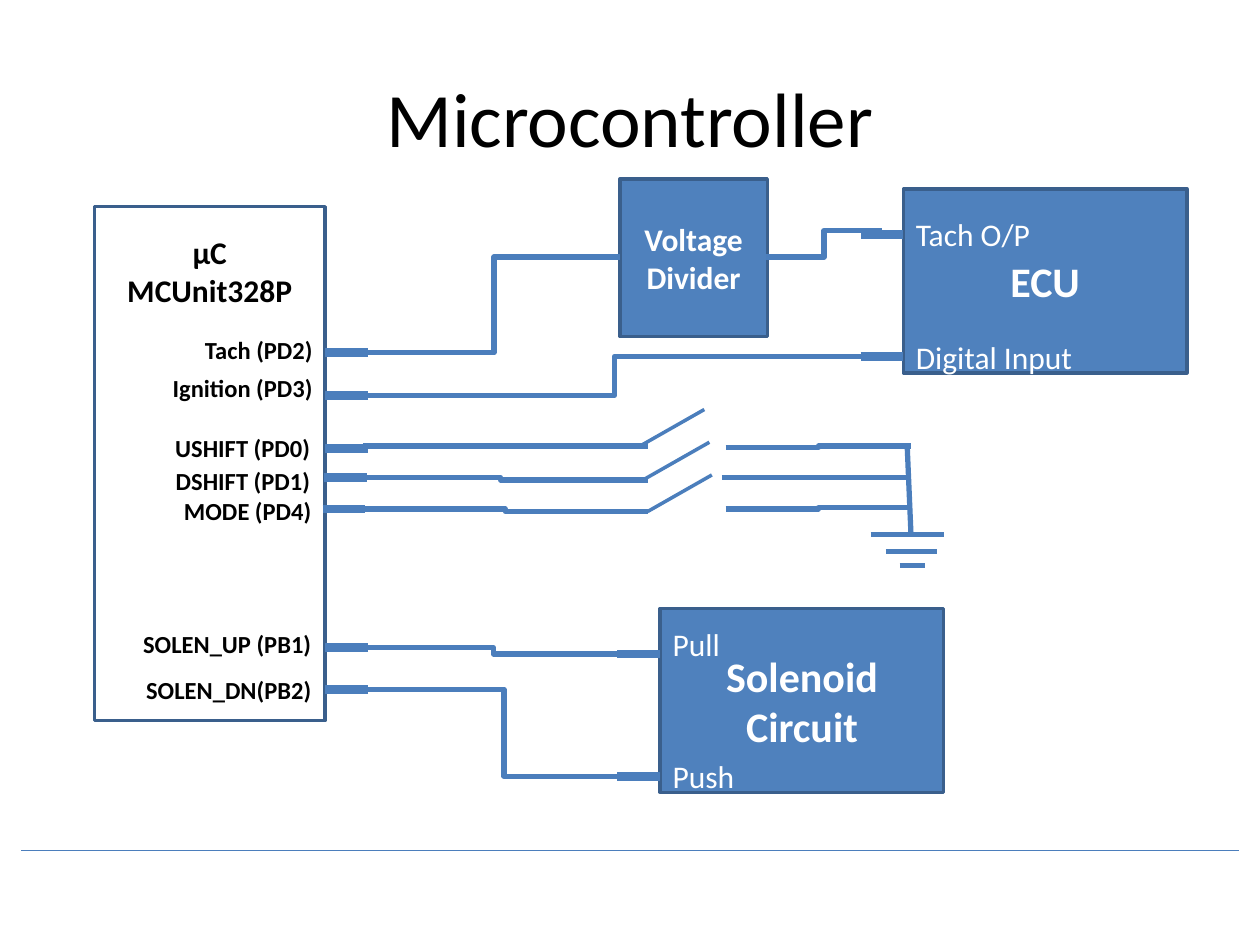
from lxml import etree
from pptx import Presentation, util as u
from pptx.dml.color import RGBColor
from pptx.enum import shapes, text
from pptx.oxml.ns import qn

LEFT, CENTER, RIGHT = text.PP_ALIGN.LEFT, text.PP_ALIGN.CENTER, text.PP_ALIGN.RIGHT
TOP, MIDDLE = text.MSO_ANCHOR.TOP, text.MSO_ANCHOR.MIDDLE
STRAIGHT, ELBOW = shapes.MSO_CONNECTOR.STRAIGHT, shapes.MSO_CONNECTOR.ELBOW


def rgb(value):
    return RGBColor.from_string(value)


class Diagram:
    font = "Calibri"
    black, white = "000000", "FFFFFF"
    blue, border, wire_color = "4F81BD", "3A5F8C", "4B7EBC"

    def __init__(self, slide):
        self.s = slide

    def set_text(self, sp, lines, size, color, bold, align, anchor):
        tf = sp.text_frame
        tf.word_wrap = True
        tf.vertical_anchor = anchor
        for i, line in enumerate(lines):
            p = tf.paragraphs[0] if i == 0 else tf.add_paragraph()
            p.text = line
            p.alignment = align
            p.font.name = self.font
            p.font.size = u.Pt(size)
            p.font.bold = bold
            p.font.color.rgb = rgb(color)

    def block(self, box, fill, lines=(), size=24):
        sp = self.s.shapes.add_shape(shapes.MSO_SHAPE.RECTANGLE, *map(u.Inches, box))
        sp.shadow.inherit = False
        sp.fill.solid()
        sp.fill.fore_color.rgb = rgb(fill)
        sp.line.color.rgb = rgb(self.border)
        sp.line.width = u.Pt(2)
        self.set_text(sp, lines, size, self.white, True, CENTER, MIDDLE)

    def label(self, box, lines, size, color, bold=False, align=LEFT, anchor=TOP):
        sp = self.s.shapes.add_textbox(*map(u.Inches, box))
        self.set_text(sp, lines, size, color, bold, align, anchor)

    def wire(self, x1, y1, x2, y2, width=3, kind=STRAIGHT):
        c = self.s.shapes.add_connector(kind, *map(u.Inches, (x1, y1, x2, y2)))
        c.line.color.rgb = rgb(self.wire_color)
        c.line.width = u.Pt(width)
        etree.SubElement(c._element.spPr, qn("a:effectLst"))

    def pin(self, x, y):
        self.wire(x, y, x + 0.34, y, width=5)


def main():
    prs = Presentation()
    prs.slide_width, prs.slide_height = u.Inches(10), u.Inches(7.5)
    d = Diagram(prs.slides.add_slide(prs.slide_layouts[6]))

    d.label((0.5, 0.3, 9, 1.25), ["Microcontroller"], 44, d.black, align=CENTER, anchor=MIDDLE)

    d.block((0.75, 1.64, 1.83, 4.08), d.white)
    d.label((0.75, 1.8, 1.83, 0.71), ["µC", "MCUnit328P"], 18, d.black, True, CENTER)
    controller_pins = [
        ("Tach (PD2)", 0.77, 2.61, 2.58, 2.8),
        ("Ignition (PD3)", 0.77, 2.91, 2.58, 3.14),
        ("USHIFT (PD0)", 0.75, 3.39, 2.58, 3.56),
        ("DSHIFT (PD1)", 0.75, 3.65, 2.57, 3.79),
        ("MODE (PD4)", 0.76, 3.89, 2.56, 4.04),
        ("SOLEN_UP (PB1)", 0.76, 4.94, 2.58, 5.14),
        ("SOLEN_DN(PB2)", 0.76, 5.31, 2.58, 5.47),
    ]
    for name, left, top, pin_x, pin_y in controller_pins:
        d.label((left, top, 1.81, 0.34), [name], 14, d.black, True, RIGHT)
        d.pin(pin_x, pin_y)

    peripherals = [
        ("ECU", 7.17, 1.5, [("Tach O/P", 1.66, 1.86), ("Digital Input", 2.63, 2.83)]),
        ("Solenoid Circuit", 5.24, 4.83, [("Pull", 4.91, 5.19), ("Push", 5.96, 6.16)]),
    ]
    for name, left, top, ports in peripherals:
        d.block((left, top, 2.25, 1.46), d.blue, [name])
        for port, label_y, pin_y in ports:
            d.pin(left - 0.34, pin_y)
            d.label((left, label_y, 1.68, 0.4), [port], 18, d.white)
    d.block((4.92, 1.42, 1.17, 1.25), d.blue, ["Voltage", "Divider"], 18)

    signal_wires = [
        (2.92, 2.8, 4.92, 2.04),
        (6.08, 2.04, 7, 1.83),
        (2.75, 3.14, 7, 2.83),
        (2.75, 5.14, 5.08, 5.19),
        (2.92, 5.47, 5.08, 6.16),
        (2.88, 3.54, 5.14, 3.54),
        (2.81, 3.79, 5.14, 3.81),
        (2.88, 4.04, 5.14, 4.06),
        (5.76, 3.55, 7.23, 3.54),
        (5.73, 3.79, 7.2, 3.79),
        (5.76, 4.04, 7.23, 4.03),
    ]
    for ends in signal_wires:
        d.wire(*ends, kind=ELBOW)

    for x, y in [(5.08, 3.54), (5.12, 3.8), (5.14, 4.06)]:
        d.wire(x, y, x + 0.51, y - 0.29, width=2)

    d.wire(7.2, 3.54, 7.23, 4.24)
    for x1, x2, y in [(6.91, 7.49, 4.24), (7.03, 7.44, 4.38), (7.14, 7.34, 4.49)]:
        d.wire(x1, y, x2, y)

    d.wire(0.17, 6.75, 9.83, 6.75, width=0.75)
    prs.save("out.pptx")


if __name__ == "__main__":
    main()
